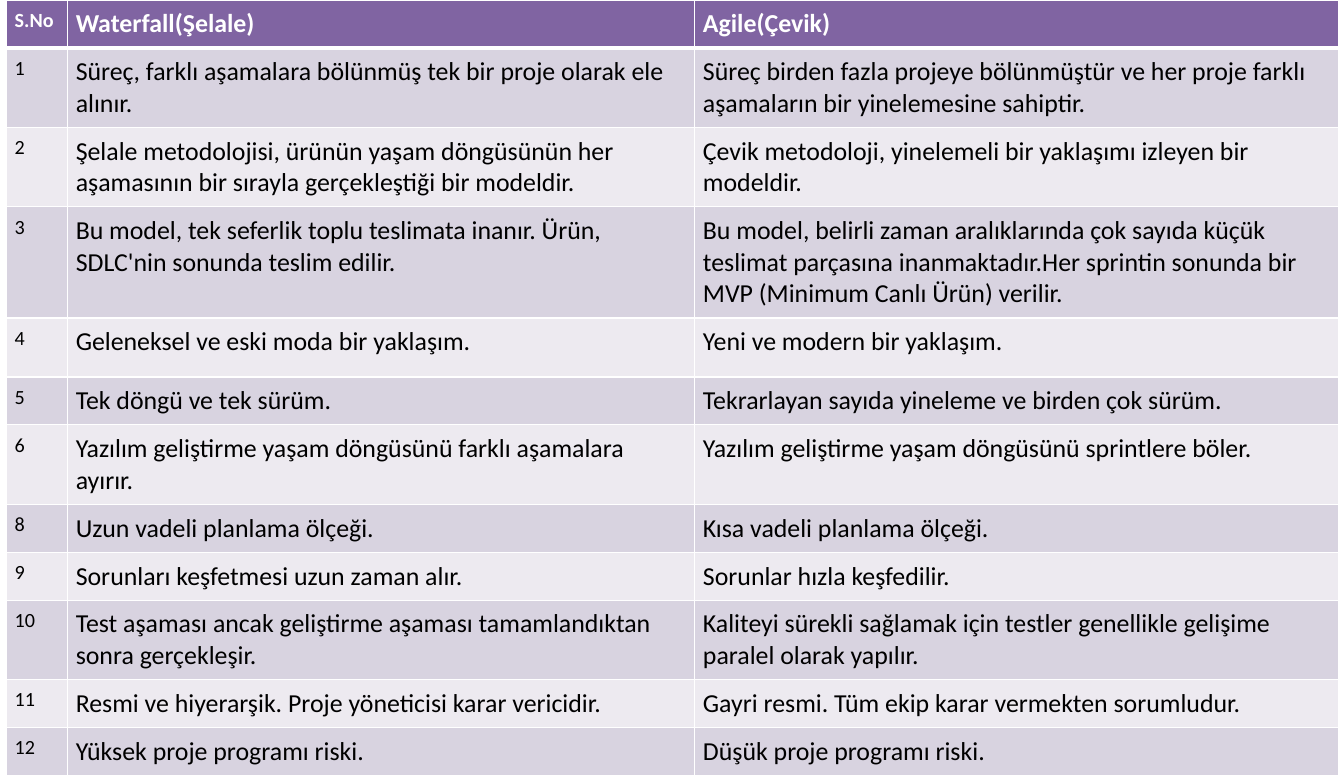
from dataclasses import dataclass

from lxml.etree import SubElement
from pptx import Presentation
from pptx.dml.color import RGBColor as Color
from pptx.oxml.ns import qn
from pptx.util import Cm, Pt


@dataclass(frozen=True)
class Theme:
    font: str = "Calibri"
    number_size: int = 14
    text_size: int = 18
    header_fill: str = "8064A2"
    odd_fill: str = "D8D3E0"
    even_fill: str = "EDEAF0"
    header_text: str = "FFFFFF"
    body_text: str = "000000"
    border: str = "FFFFFF"
    thin: int = 1
    thick: int = 3


@dataclass(frozen=True)
class Box:
    left: float
    top: float
    width: float
    height: float


THEME = Theme()
PAGE_WIDTH, PAGE_HEIGHT = 33, 19.05
NUMBER_WIDTH, WATERFALL_WIDTH = 1.5, 15.4
CELL_MARGIN = Cm(0.2)
HEADER = ("S.No", "Waterfall(Şelale)", "Agile(Çevik)")
HEADER_HEIGHT = 0.91
COMPARISONS = [
    (1.04, "1", "Süreç, farklı aşamalara bölünmüş tek bir proje olarak ele alınır.",
     "Süreç birden fazla projeye bölünmüştür ve her proje farklı aşamaların bir yinelemesine sahiptir."),
    (1.24, "2", "Şelale metodolojisi, ürünün yaşam döngüsünün her aşamasının bir sırayla gerçekleştiği bir modeldir.",
     "Çevik metodoloji, yinelemeli bir yaklaşımı izleyen bir modeldir."),
    (1.4, "3", "Bu model, tek seferlik toplu teslimata inanır. Ürün, SDLC'nin sonunda teslim edilir.",
     "Bu model, belirli zaman aralıklarında çok sayıda küçük teslimat parçasına inanmaktadır."
     "Her sprintin sonunda bir MVP (Minimum Canlı Ürün) verilir."),
    (1.45, "4", "Geleneksel ve eski moda bir yaklaşım.", "Yeni ve modern bir yaklaşım."),
    (0.97, "5", "Tek döngü ve tek sürüm.", "Tekrarlayan sayıda yineleme ve birden çok sürüm."),
    (1.45, "6", "Yazılım geliştirme yaşam döngüsünü farklı aşamalara ayırır.",
     "Yazılım geliştirme yaşam döngüsünü sprintlere böler."),
    (0.94, "8", "Uzun vadeli planlama ölçeği.", "Kısa vadeli planlama ölçeği."),
    (1.17, "9", "Sorunları keşfetmesi uzun zaman alır.", "Sorunlar hızla keşfedilir."),
    (0.91, "10", "Test aşaması ancak geliştirme aşaması tamamlandıktan sonra gerçekleşir.",
     "Kaliteyi sürekli sağlamak için testler genellikle gelişime paralel olarak yapılır."),
    (0.91, "11", "Resmi ve hiyerarşik. Proje yöneticisi karar vericidir.",
     "Gayri resmi. Tüm ekip karar vermekten sorumludur."),
    (0.91, "12", "Yüksek proje programı riski.", "Düşük proje programı riski."),
]


def add_borders(cell, top, bottom):
    properties = cell._tc.get_or_add_tcPr()
    widths = {"a:lnL": THEME.thin, "a:lnR": THEME.thin, "a:lnT": top, "a:lnB": bottom}
    for side, width in widths.items():
        line = SubElement(properties, qn(side), w=str(Pt(width)))
        fill = SubElement(line, qn("a:solidFill"))
        SubElement(fill, qn("a:srgbClr"), val=THEME.border)


def fill_cell(cell, text, row, column):
    is_header = row == 0
    add_borders(cell,
                top=THEME.thick if row == 1 else THEME.thin,
                bottom=THEME.thick if is_header else THEME.thin)
    body_fill = THEME.odd_fill if row % 2 else THEME.even_fill
    cell.fill.solid()
    cell.fill.fore_color.rgb = Color.from_string(THEME.header_fill if is_header else body_fill)
    cell.margin_left = cell.margin_right = CELL_MARGIN
    cell.margin_top = cell.margin_bottom = CELL_MARGIN
    cell.text = text
    font = cell.text_frame.paragraphs[0].font
    font.name = THEME.font
    font.size = Pt(THEME.text_size if column else THEME.number_size)
    font.bold = is_header
    font.color.rgb = Color.from_string(THEME.header_text if is_header else THEME.body_text)


def add_comparison_table(page, box):
    rows = [(HEADER_HEIGHT, *HEADER), *COMPARISONS]
    frame = page.shapes.add_table(len(rows), len(HEADER), Cm(box.left), Cm(box.top),
                                  Cm(box.width), Cm(box.height))
    table = frame.table
    agile_width = box.width - NUMBER_WIDTH - WATERFALL_WIDTH
    for column, width in zip(table.columns, (NUMBER_WIDTH, WATERFALL_WIDTH, agile_width)):
        column.width = Cm(width)
    for row, (height, *texts) in enumerate(rows):
        table.rows[row].height = Cm(height)
        for column, text in enumerate(texts):
            fill_cell(table.cell(row, column), text, row, column)


def main():
    deck = Presentation()
    deck.slide_width, deck.slide_height = Cm(PAGE_WIDTH), Cm(PAGE_HEIGHT)
    page = deck.slides.add_slide(deck.slide_layouts[6])
    add_comparison_table(page, Box(0.16, 0, 32.7, PAGE_HEIGHT))
    deck.save("out.pptx")


if __name__ == "__main__":
    main()
